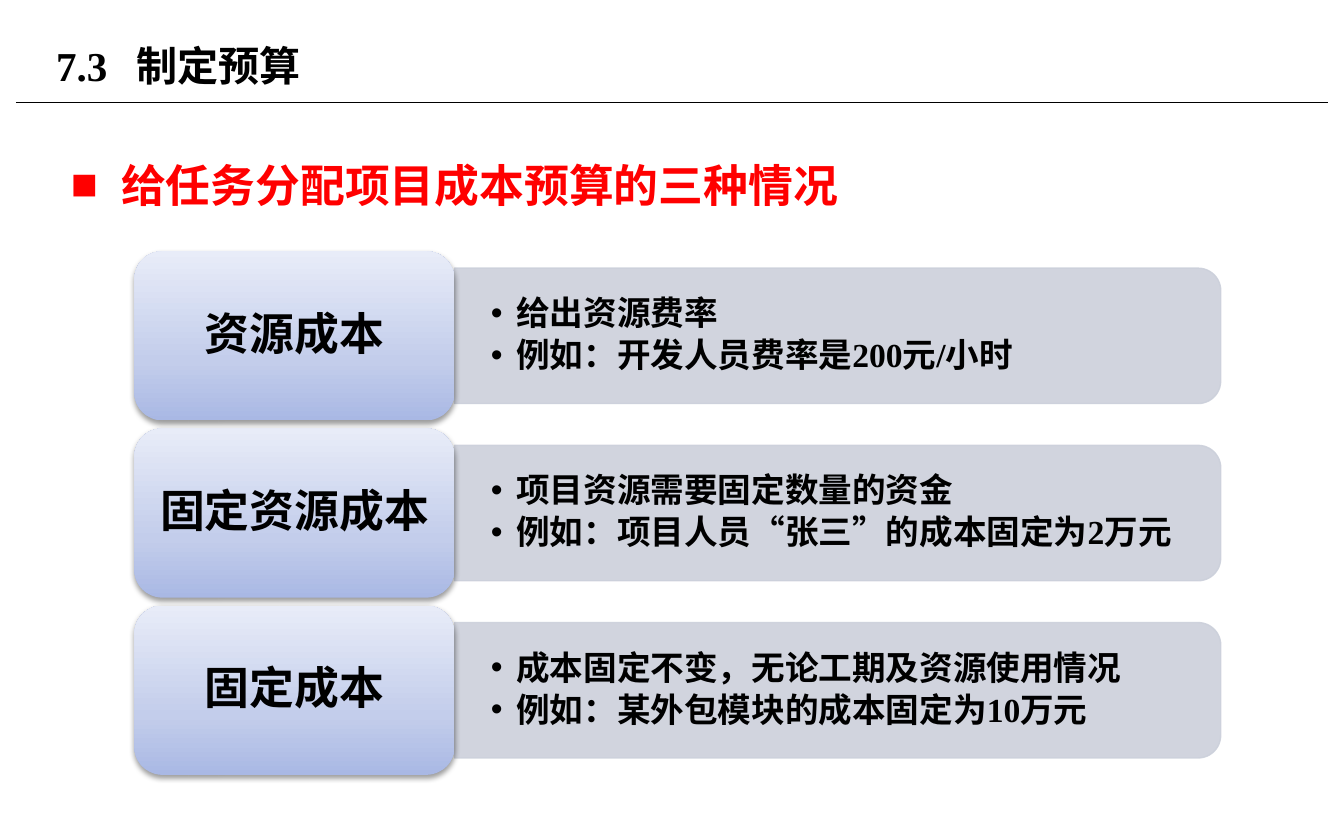
from dataclasses import dataclass

from lxml import etree
from pptx import Presentation
from pptx import util as u
from pptx.dml.color import RGBColor
from pptx.enum import shapes, text
from pptx.oxml import ns

BLACK = RGBColor(0x00, 0x00, 0x00)
RED = RGBColor(0xFF, 0x00, 0x00)
PANEL_GREY = RGBColor(0xCC, 0xD0, 0xDB)
LABEL_STOPS = (
    (0, RGBColor(0xA9, 0xB8, 0xE4)),
    (35, RGBColor(0xC3, 0xCD, 0xEB)),
    (100, RGBColor(0xE8, 0xEC, 0xF8)),
)
FONT = "Times New Roman"

LABEL_LEFT, LABEL_WIDTH, LABEL_HEIGHT = u.Cm(2.54), u.Cm(6.05), u.Cm(3.2)
PANEL_LEFT, PANEL_WIDTH, PANEL_HEIGHT = u.Cm(8.59), u.Cm(14.48), u.Cm(2.56)
DETAIL_WIDTH, DETAIL_HEIGHT = u.Cm(14.35), u.Cm(2.31)
FIRST_TOP, ROW_PITCH = u.Cm(4.75), u.Cm(3.35)


@dataclass(frozen=True)
class CostCase:
    label: str
    details: tuple[str, ...]


CASES = (
    CostCase("资源成本", ("给出资源费率", "例如：开发人员费率是200元/小时")),
    CostCase("固定资源成本", ("项目资源需要固定数量的资金", "例如：项目人员“张三”的成本固定为2万元")),
    CostCase("固定成本", ("成本固定不变，无论工期及资源使用情况", "例如：某外包模块的成本固定为10万元")),
)


def add_child(parent, tag: str, **attributes):
    child = etree.SubElement(parent, ns.qn(tag))
    for key, value in attributes.items():
        child.set(key, str(value))
    return child


def add_run(paragraph, words: str, size: int, color: RGBColor = BLACK) -> None:
    run = paragraph.add_run()
    run.text = words
    run.font.name = FONT
    run.font.size = u.Pt(size)
    run.font.bold = True
    run.font.color.rgb = color


def set_bullet(paragraph, mark: str, indent: int) -> None:
    properties = paragraph._p.get_or_add_pPr()
    properties.set("marL", str(indent))
    properties.set("indent", str(-indent))
    add_child(properties, "a:buFont", typeface="Arial")
    add_child(properties, "a:buChar", char=mark)


def add_text_frame(slide, left: int, top: int, width: int, height: int, anchor):
    frame = slide.shapes.add_textbox(left, top, width, height).text_frame
    frame.word_wrap = True
    frame.vertical_anchor = anchor
    return frame


def draw_title(slide) -> None:
    frame = add_text_frame(slide, u.Cm(0.81), u.Cm(0.33), u.Cm(16.21), u.Cm(1.8),
                           text.MSO_ANCHOR.MIDDLE)
    title = frame.paragraphs[0]
    tabs = add_child(title._p.get_or_add_pPr(), "a:tabLst")
    add_child(tabs, "a:tab", pos=u.Cm(1.53), algn="l")
    add_run(title, "7.3\t制定预算", 22)

    rule = slide.shapes.add_connector(shapes.MSO_CONNECTOR.STRAIGHT,
                                      u.Cm(0.3), u.Cm(1.94), u.Cm(25.1), u.Cm(1.94))
    rule.line.color.rgb = BLACK
    rule.line.width = u.Pt(0.75)
    add_child(rule._element.spPr, "a:effectLst")


def draw_heading(slide) -> None:
    frame = add_text_frame(slide, u.Cm(1.09), u.Cm(2.34), u.Cm(23.6), u.Cm(9.9),
                           text.MSO_ANCHOR.TOP)
    heading = frame.paragraphs[0]
    set_bullet(heading, "■", u.Cm(0.95))
    heading.line_spacing = 1.5
    add_run(heading, "给任务分配项目成本预算的三种情况", 24, RED)


def draw_panel(slide, middle: int) -> None:
    """Draw the grey panel, turned so that its round corners face right."""
    panel = slide.shapes.add_shape(
        shapes.MSO_SHAPE.ROUND_2_SAME_RECTANGLE,
        PANEL_LEFT + (PANEL_WIDTH - PANEL_HEIGHT) // 2, middle - PANEL_WIDTH // 2,
        PANEL_HEIGHT, PANEL_WIDTH)
    panel.rotation = 90
    panel.shadow.inherit = False
    panel.fill.solid()
    panel.fill.fore_color.rgb = PANEL_GREY
    panel.line.color.rgb = PANEL_GREY
    panel.line.width = u.Pt(0.75)
    for color in panel._element.spPr.iter(ns.qn("a:srgbClr")):
        add_child(color, "a:alpha", val=90000)


def draw_details(slide, middle: int, details: tuple[str, ...]) -> None:
    frame = add_text_frame(slide, PANEL_LEFT, middle - DETAIL_HEIGHT // 2,
                           DETAIL_WIDTH, DETAIL_HEIGHT, text.MSO_ANCHOR.MIDDLE)
    frame.margin_left = frame.margin_right = u.Cm(0.69)
    frame.margin_top = frame.margin_bottom = u.Cm(0.36)
    for index, detail in enumerate(details):
        paragraph = frame.add_paragraph() if index else frame.paragraphs[0]
        paragraph.level = 1
        set_bullet(paragraph, "•", u.Cm(0.48))
        paragraph.line_spacing = 0.9
        paragraph.space_after = u.Pt(3)
        add_run(paragraph, detail, 18)


def draw_label(slide, middle: int, words: str) -> None:
    label = slide.shapes.add_shape(shapes.MSO_SHAPE.ROUNDED_RECTANGLE, LABEL_LEFT,
                                   middle - LABEL_HEIGHT // 2, LABEL_WIDTH, LABEL_HEIGHT)
    label.line.fill.background()
    label.fill.gradient()
    label.fill.gradient_angle = 90
    properties = label._element.spPr
    stops = properties.find(".//" + ns.qn("a:gsLst"))
    for stop in list(stops):
        stops.remove(stop)
    for position, color in LABEL_STOPS:
        stop = add_child(stops, "a:gs", pos=position * 1000)
        add_child(stop, "a:srgbClr", val=color)

    label.shadow.inherit = False
    shadow = add_child(properties.find(ns.qn("a:effectLst")), "a:outerShdw",
                       blurRad=u.Pt(3.1), dist=u.Pt(1.6), dir=90 * 60000, rotWithShape=0)
    add_child(add_child(shadow, "a:srgbClr", val=BLACK), "a:alpha", val=38000)

    frame = label.text_frame
    frame.word_wrap = True
    frame.vertical_anchor = text.MSO_ANCHOR.MIDDLE
    paragraph = frame.paragraphs[0]
    paragraph.alignment = text.PP_ALIGN.CENTER
    paragraph.line_spacing = 0.9
    add_run(paragraph, words, 24)


def main() -> None:
    presentation = Presentation()
    presentation.slide_width, presentation.slide_height = u.Cm(25.4), u.Cm(15.88)
    slide = presentation.slides.add_slide(presentation.slide_layouts[6])
    draw_title(slide)
    draw_heading(slide)
    for row, case in enumerate(CASES):
        middle = FIRST_TOP + row * ROW_PITCH + LABEL_HEIGHT // 2
        draw_panel(slide, middle)
        draw_details(slide, middle, case.details)
        draw_label(slide, middle, case.label)
    presentation.save("out.pptx")


if __name__ == "__main__":
    main()
